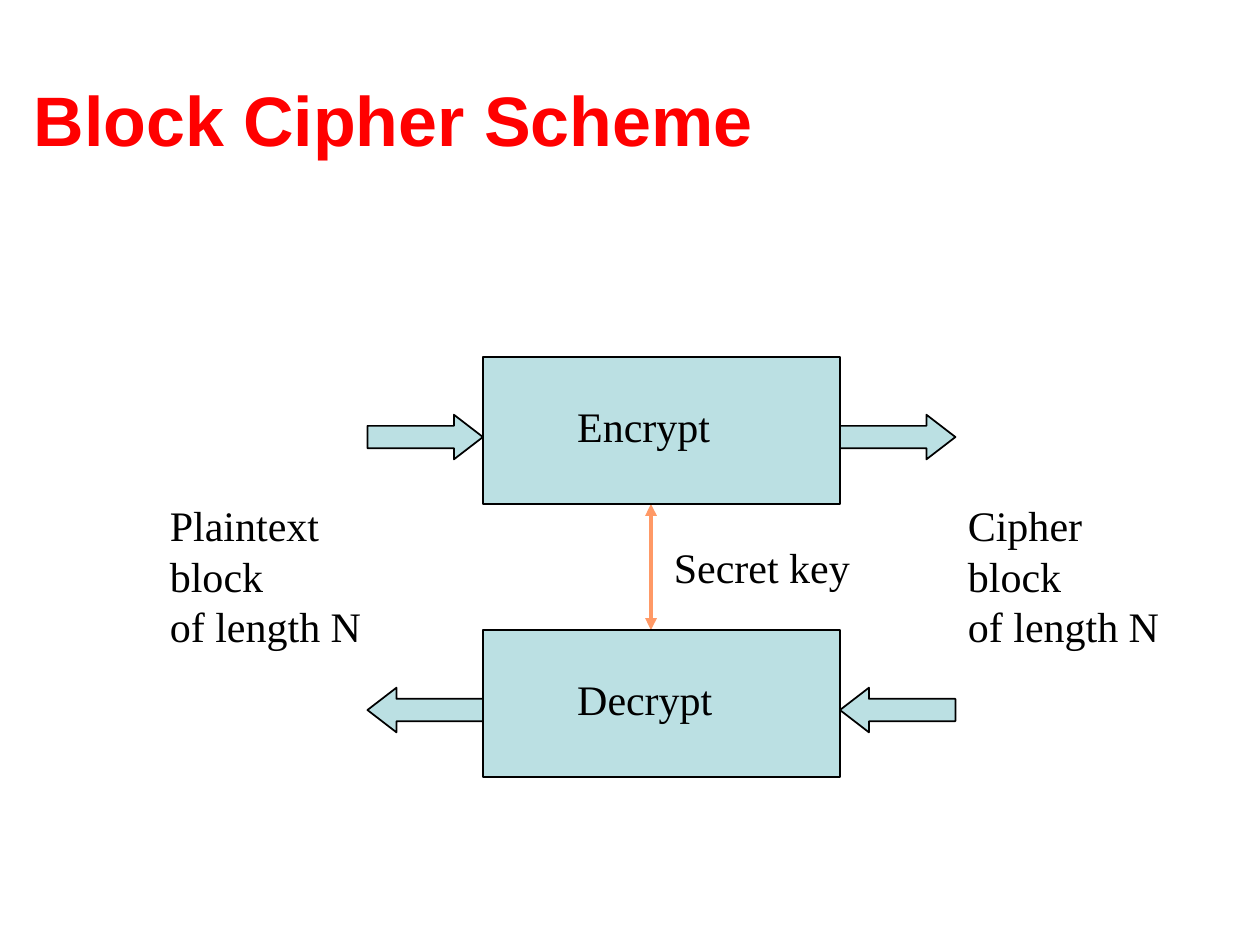
"""Build the block cipher scheme slide."""
from lxml import etree
from pptx import Presentation
from pptx import util as u
from pptx.dml.color import RGBColor
from pptx.enum import shapes, text
from pptx.oxml import ns

COLORS = {"title": "FF0000", "fill": "BBE0E3", "ink": "000000", "key": "FF9966"}


def write(frame, content, font="Times New Roman", size=24, color="ink", bold=False, spacing=28.8):
    """Write one paragraph per line of content with a common format."""
    frame.text = content
    for para in frame.paragraphs:
        para.alignment = text.PP_ALIGN.LEFT
        para.line_spacing = u.Pt(spacing) if spacing else None
        for span in para.runs:
            span.font.name = font
            span.font.size = u.Pt(size)
            span.font.bold = bold
            span.font.color.rgb = RGBColor.from_string(COLORS[color])


deck = Presentation()
deck.slide_width, deck.slide_height = u.Pt(720), u.Pt(540)
page = deck.slides.add_slide(deck.slide_layouts[5])

title = page.shapes.title
title.left, title.top, title.width, title.height = u.Pt(12), u.Pt(23), u.Pt(690), u.Pt(90)
title.text_frame.vertical_anchor = text.MSO_ANCHOR.MIDDLE
write(title.text_frame, "Block Cipher Scheme", font="Arial", size=40, color="title", bold=True, spacing=None)

key_line = page.shapes.add_connector(
    shapes.MSO_CONNECTOR.STRAIGHT, u.Pt(372), u.Pt(360), u.Pt(372), u.Pt(288))
key_line.line.color.rgb = RGBColor.from_string(COLORS["key"])
key_line.line.width = u.Pt(2.25)
for end in ("a:headEnd", "a:tailEnd"):
    etree.SubElement(key_line.line._get_or_add_ln(), ns.qn(end), type="triangle")
etree.SubElement(key_line._element.spPr, ns.qn("a:effectLst"))

kinds = shapes.MSO_SHAPE
for top, arrow in ((204, kinds.RIGHT_ARROW), (360, kinds.LEFT_ARROW)):
    for kind, left, offset, width, height in (
        (kinds.RECTANGLE, 276, 0, 204, 84),
        (arrow, 210, 33, 66, 25.5),
        (arrow, 480, 33, 66, 25.5),
    ):
        shape = page.shapes.add_shape(kind, u.Pt(left), u.Pt(top + offset), u.Pt(width), u.Pt(height))
        shape.shadow.inherit = False
        shape.fill.solid()
        shape.fill.fore_color.rgb = RGBColor.from_string(COLORS["fill"])
        shape.line.color.rgb = RGBColor.from_string(COLORS["ink"])
        shape.line.width = u.Pt(1)
        if kind == arrow:
            shape.adjustments[0], shape.adjustments[1] = 0.5, 0.65

for content, left, top, width, height in (
    ("Encrypt", 322.75, 225.5, 94, 36),
    ("Decrypt", 322.75, 381.5, 94, 36),
    ("Secret key", 378, 306, 118, 36),
    ("Plaintext\nblock\nof length N", 90, 282, 130, 93.6),
    ("Cipher\nblock\nof length N", 546, 282, 130, 93.6),
):
    box = page.shapes.add_textbox(u.Pt(left), u.Pt(top), u.Pt(width), u.Pt(height))
    box.text_frame.word_wrap = True
    box.text_frame.auto_size = text.MSO_AUTO_SIZE.NONE
    write(box.text_frame, content)

deck.save("out.pptx")
